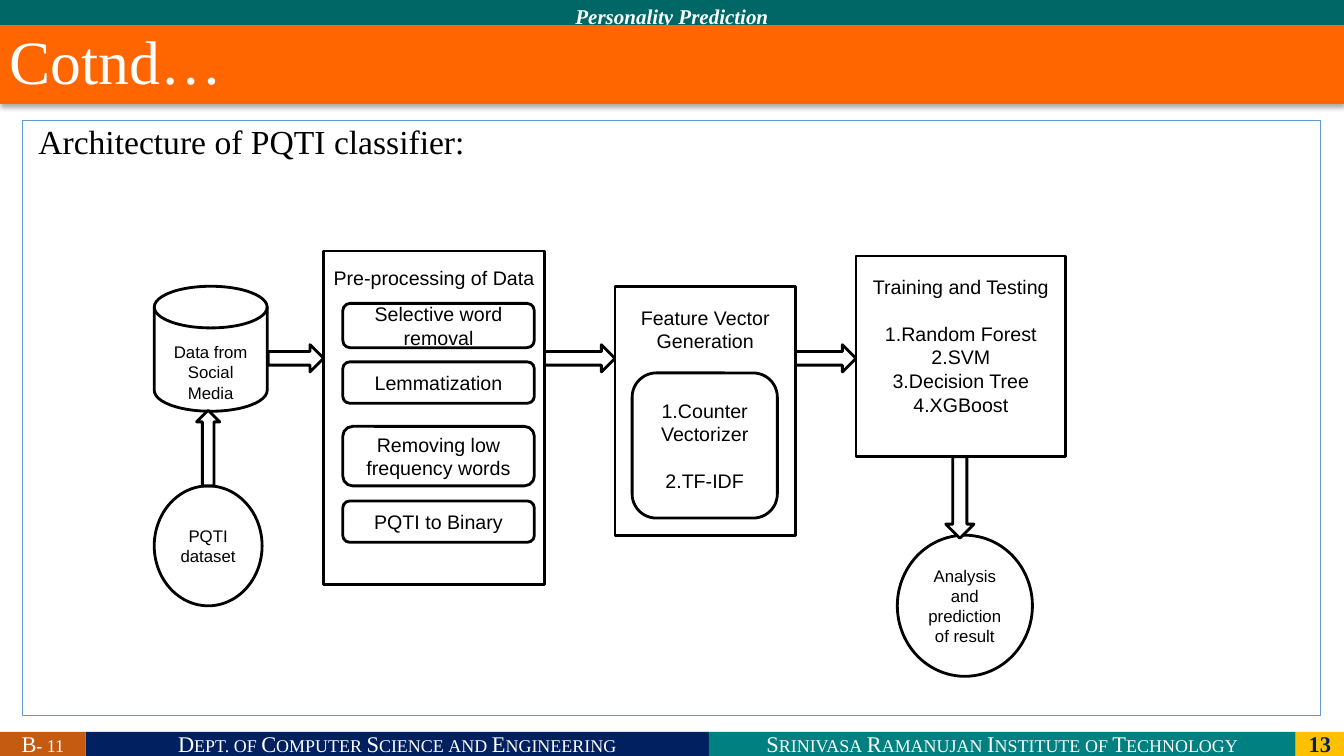
"""Builds the PQTI classifier architecture slide."""
from dataclasses import dataclass

from lxml import etree
from pptx import Presentation
from pptx.dml.color import RGBColor
from pptx.enum.shapes import MSO_SHAPE as SHAPE
from pptx.enum.text import MSO_ANCHOR as ANCHOR, PP_ALIGN as ALIGN
from pptx.oxml.ns import qn
from pptx.util import Inches, Pt


@dataclass(frozen=True)
class Theme:
    serif: str = "Times New Roman"
    sans: str = "Arial"
    white: str = "FFFFFF"
    black: str = "000000"
    navy: str = "002060"
    teal: str = "008080"
    header: str = "006666"
    gold: str = "FFC000"
    rust: str = "C55A11"
    orange: str = "FF6600"
    frame: str = "5B9BD5"
    title: int = 44
    heading: int = 24
    footer: int = 16
    banner: int = 15
    label: int = 14
    small: int = 12


T = Theme()
prs = Presentation()
prs.slide_width, prs.slide_height = Inches(13.33), Inches(7.5)
s = prs.slides.add_slide(prs.slide_layouts[6])


def add_box(kind, at, fill=T.white, line=None, weight=2):
    sp = s.shapes.add_shape(kind, *(Inches(v) for v in at))
    sp.shadow.inherit = False
    if fill:
        sp.fill.solid()
        sp.fill.fore_color.rgb = RGBColor.from_string(fill)
    else:
        sp.fill.background()
    if line:
        sp.line.color.rgb = RGBColor.from_string(line)
        sp.line.width = Pt(weight)
    else:
        sp.line.fill.background()
    return sp


def write(sp, lines, size, font=T.sans, color=T.black, align=ALIGN.CENTER,
          anchor=ANCHOR.MIDDLE, insets=(0.1, 0.05, 0.1, 0.05)):
    tf = sp.text_frame
    tf.word_wrap = True
    tf.vertical_anchor = anchor
    tf.margin_left, tf.margin_top, tf.margin_right, tf.margin_bottom = (
        Inches(v) for v in insets)
    for i, text in enumerate(lines):
        p = tf.paragraphs[0] if i == 0 else tf.add_paragraph()
        p.text = text
        p.alignment = align
        p.font.size, p.font.name = Pt(size), font
        p.font.color.rgb = RGBColor.from_string(color)
    return tf.paragraphs


footer = [
    (0.85, 6.18, T.navy, "Dept. of Computer Science and Engineering"),
    (7.03, 5.82, T.teal, "Srinivasa Ramanujan Institute of Technology"),
    (0, 0.85, T.rust, "B- 11"),
]
for left, width, fill, text in footer:
    sp = add_box(SHAPE.RECTANGLE, (left, 7.26, width, 0.24), fill)
    p = write(sp, [text], T.footer, T.serif, T.white)[0]
    p.runs[0]._r.get_or_add_rPr().set("cap", "small")

number = add_box(SHAPE.RECTANGLE, (12.85, 7.26, 0.48, 0.24), T.gold)
write(number, ["13"], T.footer, T.serif, T.navy)[0].font.bold = True

banner = add_box(SHAPE.RECTANGLE, (0, -0.05, 13.33, 0.41), T.header)
p = write(banner, ["Personality Prediction"], T.banner, T.serif, T.white,
          insets=(0, 0, 0, 0))[0]
p.font.bold = p.font.italic = True

body = add_box(SHAPE.RECTANGLE, (0.22, 1.2, 12.88, 5.9), None, T.frame, 0.75)
p = write(body, ["Architecture of PQTI classifier:"], T.heading, T.serif,
          align=ALIGN.JUSTIFY, anchor=ANCHOR.TOP,
          insets=(0.16, 0.05, 0.1, 0.05))[0]
p.line_spacing = 0.9

dataset = add_box(SHAPE.FLOWCHART_CONNECTOR, (1.53, 4.82, 1.07, 1.19), line=T.black)
write(dataset, ["PQTI", "dataset"], T.small)

source = add_box(SHAPE.FLOWCHART_MAGNETIC_DISK, (1.53, 2.84, 1.12, 1.24), line=T.black)
write(source, ["Data from Social Media"], T.small, anchor=ANCHOR.TOP,
      insets=(0.1, 0.14, 0.1, 0))

stages = [
    ((3.21, 2.49, 2.19, 3.31), 0.15, ["Pre-processing of Data"]),
    ((6.1, 2.84, 1.79, 2.47), 0.19, ["Feature Vector Generation"]),
    ((8.49, 2.54, 2.08, 1.99), 0.19,
     ["Training and Testing", "1.Random Forest", "2.SVM", "3.Decision Tree",
      "4.XGBoost"]),
]
for at, top, lines in stages:
    sp = add_box(SHAPE.RECTANGLE, at, line=T.black)
    paragraphs = write(sp, lines, T.label, anchor=ANCHOR.TOP,
                       insets=(0.05, top, 0.05, 0.05))
    if len(lines) > 1:
        paragraphs[1].space_before = Pt(16.5)

steps = [
    (3.01, 0.44, "Selective word removal"),
    (3.59, 0.41, "Lemmatization"),
    (4.23, 0.59, "Removing low frequency words"),
    (4.97, 0.41, "PQTI to Binary"),
]
for top, height, text in steps:
    sp = add_box(SHAPE.ROUNDED_RECTANGLE, (3.4, top, 1.9, height), line=T.black)
    write(sp, [text], T.label)

features = add_box(SHAPE.ROUNDED_RECTANGLE, (6.27, 3.7, 1.44, 1.44), line=T.black)
paragraphs = write(features, ["1.Counter", "Vectorizer", "2.TF-IDF"], T.label)
paragraphs[2].space_before = Pt(16.5)

result = add_box(SHAPE.FLOWCHART_CONNECTOR, (8.9, 5.31, 1.34, 1.4), line=T.black)
write(result, ["Analysis and prediction of result"], T.small)

arrows = [(SHAPE.UP_ARROW, (1.95, 4.07, 0.23, 0.75))]
arrows += [(SHAPE.RIGHT_ARROW, (left, 3.42, right - left, 0.27))
           for left, right in ((2.66, 3.21), (5.4, 6.1), (7.89, 8.49))]
arrows += [(SHAPE.DOWN_ARROW, (9.38, 4.53, 0.28, 0.81))]
for kind, at in arrows:
    add_box(kind, at, line=T.black)

title = add_box(SHAPE.RECTANGLE, (0, 0.25, 13.33, 0.78), T.orange)
p = write(title, ["Cotnd…"], T.title, T.serif, T.white, ALIGN.LEFT)[0]
p.line_spacing = 0.9
effects = title._element.spPr.find(qn("a:effectLst"))
shadow = etree.SubElement(effects, qn("a:outerShdw"), blurRad=str(Pt(3.5)),
                          dist=str(Pt(2.2)), dir="5400000", rotWithShape="0")
tint = etree.SubElement(shadow, qn("a:srgbClr"), val=T.black)
etree.SubElement(tint, qn("a:alpha"), val="32000")

prs.save("out.pptx")
